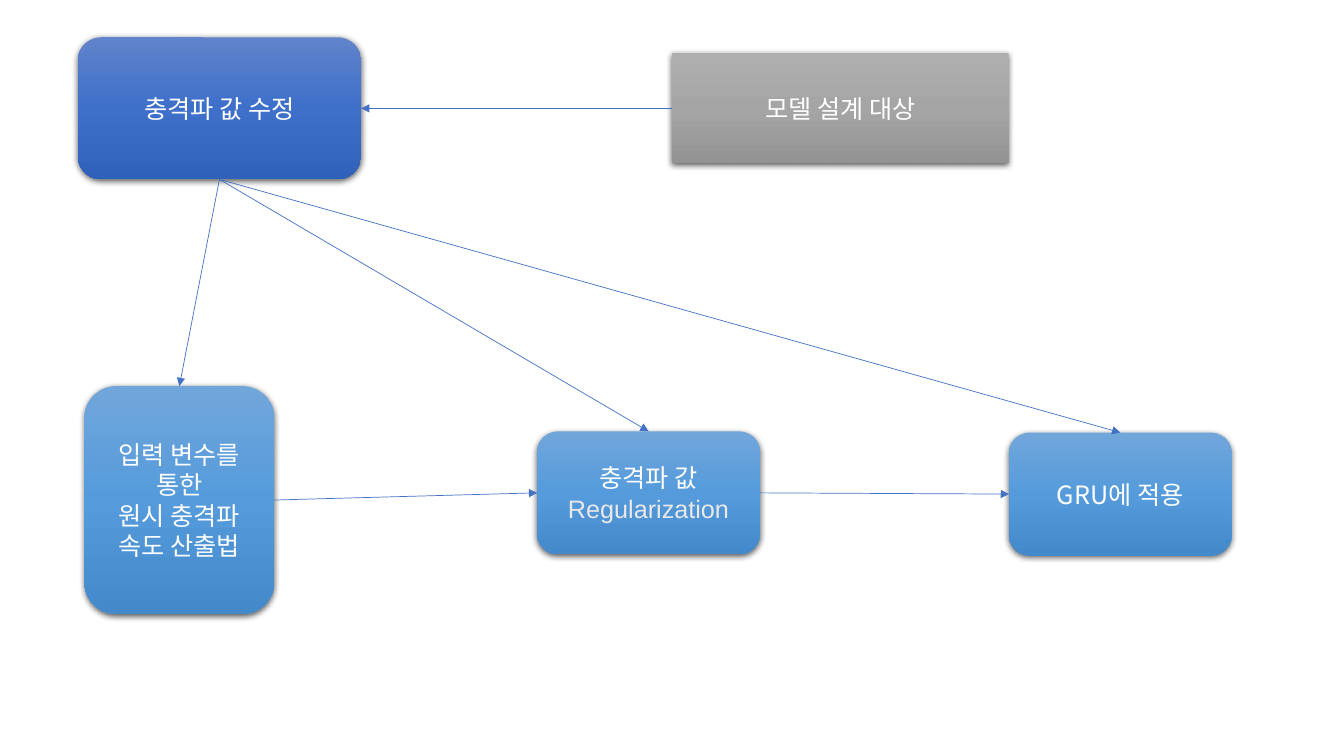
"""Build a flow slide on correcting shock wave values and applying them to a GRU."""
from copy import deepcopy

from lxml.etree import SubElement
from pptx import Presentation
from pptx.dml.color import RGBColor
from pptx.enum.shapes import MSO_CONNECTOR, MSO_SHAPE
from pptx.enum.text import MSO_ANCHOR, PP_ALIGN
from pptx.oxml.ns import qn
from pptx.util import Cm, Pt

WHITE = RGBColor(0xFF, 0xFF, 0xFF)
PALE = RGBColor(0xE8, 0xE8, 0xE8)
ARROW_BLUE = RGBColor(0x44, 0x72, 0xC4)
NAVY = [RGBColor(0x61, 0x83, 0xCB), RGBColor(0x3E, 0x70, 0xCA), RGBColor(0x30, 0x62, 0xBB)]
GREY = [RGBColor(0xAF, 0xAF, 0xAF), RGBColor(0xA5, 0xA5, 0xA5), RGBColor(0x93, 0x93, 0x93)]
SKY = [RGBColor(0x71, 0xA6, 0xDB), RGBColor(0x55, 0x9B, 0xDB), RGBColor(0x44, 0x8A, 0xCA)]

KOREAN = ("Noto Sans CJK KR", WHITE)
LATIN = ("Arial", PALE)
ROUND, SQUARE = MSO_SHAPE.ROUNDED_RECTANGLE, MSO_SHAPE.RECTANGLE
TOP, LEFT, BOTTOM, RIGHT = range(4)

STEPS = {
    "correction": (ROUND, NAVY, (1.96, 0.94, 7.14, 3.58), [[("충격파 값 수정", KOREAN)]]),
    "target": (SQUARE, GREY, (16.94, 1.34, 8.48, 2.78), [[("모델 설계 대상", KOREAN)]]),
    "raw speed": (ROUND, SKY, (2.13, 9.73, 4.78, 5.74),
                  [[("입력 변수를 통한", KOREAN)], [("원시 충격파 속도 산출법", KOREAN)]]),
    "regularization": (ROUND, SKY, (13.54, 10.87, 5.61, 3.1),
                       [[("충격파 값 ", KOREAN), ("Regularization", LATIN)]]),
    "gru": (ROUND, SKY, (25.43, 10.9, 5.61, 3.1), [[("GRU에 적용", KOREAN)]]),
}
ARROWS = [
    (MSO_CONNECTOR.ELBOW, "target", LEFT, "correction", RIGHT),
    (MSO_CONNECTOR.STRAIGHT, "correction", BOTTOM, "raw speed", TOP),
    (MSO_CONNECTOR.STRAIGHT, "correction", BOTTOM, "regularization", TOP),
    (MSO_CONNECTOR.STRAIGHT, "correction", BOTTOM, "gru", TOP),
    (MSO_CONNECTOR.STRAIGHT, "raw speed", RIGHT, "regularization", LEFT),
    (MSO_CONNECTOR.STRAIGHT, "regularization", RIGHT, "gru", LEFT),
]


def fill_gradient(step, shades):
    step.fill.gradient()
    step.fill.gradient_angle = 270
    stop_list = step._element.spPr.find(qn("a:gradFill")).find(qn("a:gsLst"))
    stop_list.insert(1, deepcopy(stop_list[0]))
    for stop, position, shade in zip(step.fill.gradient_stops, (0, 0.5, 1), shades):
        stop.position = position
        stop.color.rgb = shade


def add_shadow(step):
    step.shadow.inherit = False
    effects = step._element.spPr.find(qn("a:effectLst"))
    shadow = SubElement(effects, qn("a:outerShdw"), blurRad=str(Pt(4.5)), dist=str(Pt(1.5)),
                        dir="5400000", algn="ctr", rotWithShape="0")
    black = SubElement(shadow, qn("a:srgbClr"), val="000000")
    SubElement(black, qn("a:alpha"), val="63000")


def write_label(frame, label):
    frame.word_wrap = True
    frame.vertical_anchor = MSO_ANCHOR.MIDDLE
    for index, pieces in enumerate(label):
        paragraph = frame.add_paragraph() if index else frame.paragraphs[0]
        paragraph.alignment = PP_ALIGN.CENTER
        for words, (typeface, color) in pieces:
            run = paragraph.add_run()
            run.text = words
            run.font.size = Pt(18)
            run.font.color.rgb = color
            run.font.name = typeface
            SubElement(run.font._element, qn("a:ea"), typeface=typeface)


def add_step(slide, outline, shades, place, label):
    step = slide.shapes.add_shape(outline, *map(Cm, place))
    fill_gradient(step, shades)
    step.line.fill.background()
    add_shadow(step)
    write_label(step.text_frame, label)
    return step


def add_arrow(slide, route, source, source_side, goal, goal_side):
    arrow = slide.shapes.add_connector(route, 0, 0, 0, 0)
    arrow.begin_connect(source, source_side)
    arrow.end_connect(goal, goal_side)
    arrow.line.color.rgb = ARROW_BLUE
    arrow.line.width = Pt(0.5)
    SubElement(arrow.line._get_or_add_ln(), qn("a:tailEnd"), type="triangle")
    SubElement(arrow._element.spPr, qn("a:effectLst"))


def main():
    deck = Presentation()
    deck.slide_width, deck.slide_height = Cm(33.87), Cm(19.05)
    slide = deck.slides.add_slide(deck.slide_layouts[6])
    steps = {name: add_step(slide, *details) for name, details in STEPS.items()}
    for route, source, source_side, goal, goal_side in ARROWS:
        add_arrow(slide, route, steps[source], source_side, steps[goal], goal_side)
    deck.save("out.pptx")


if __name__ == "__main__":
    main()
